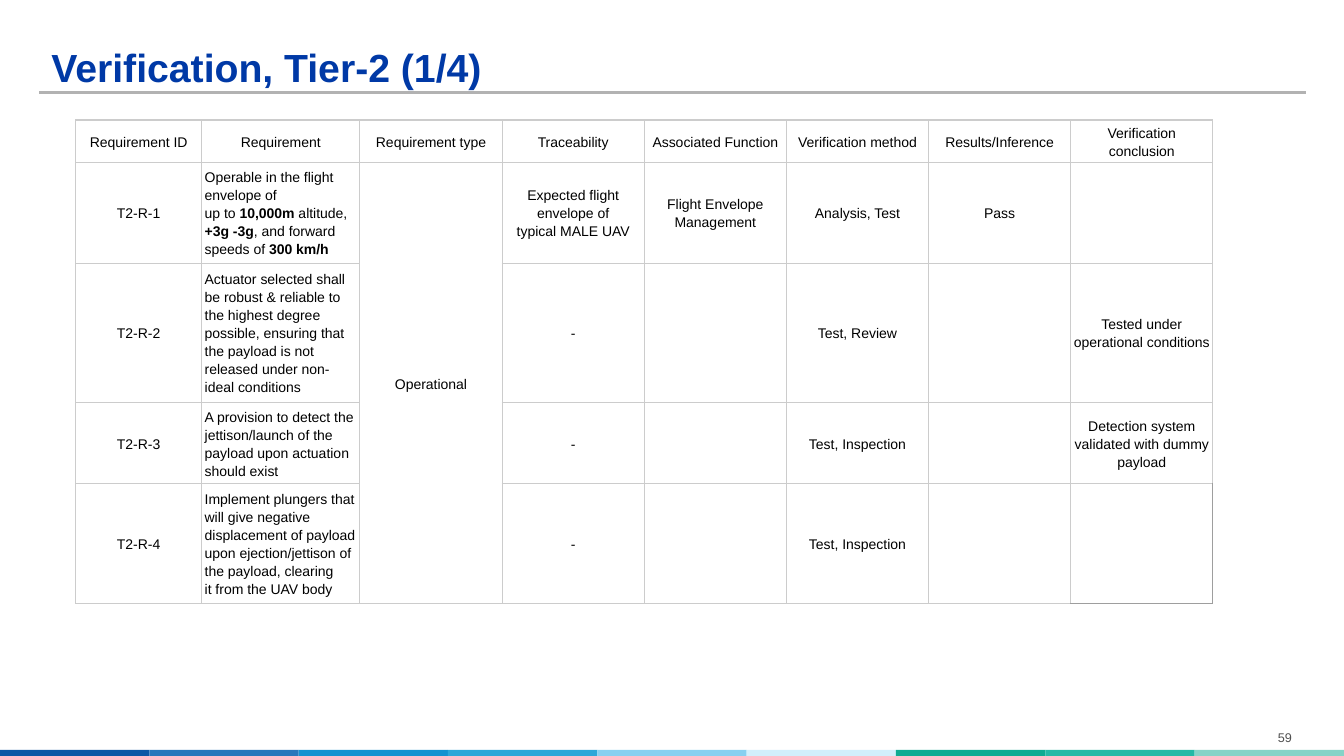
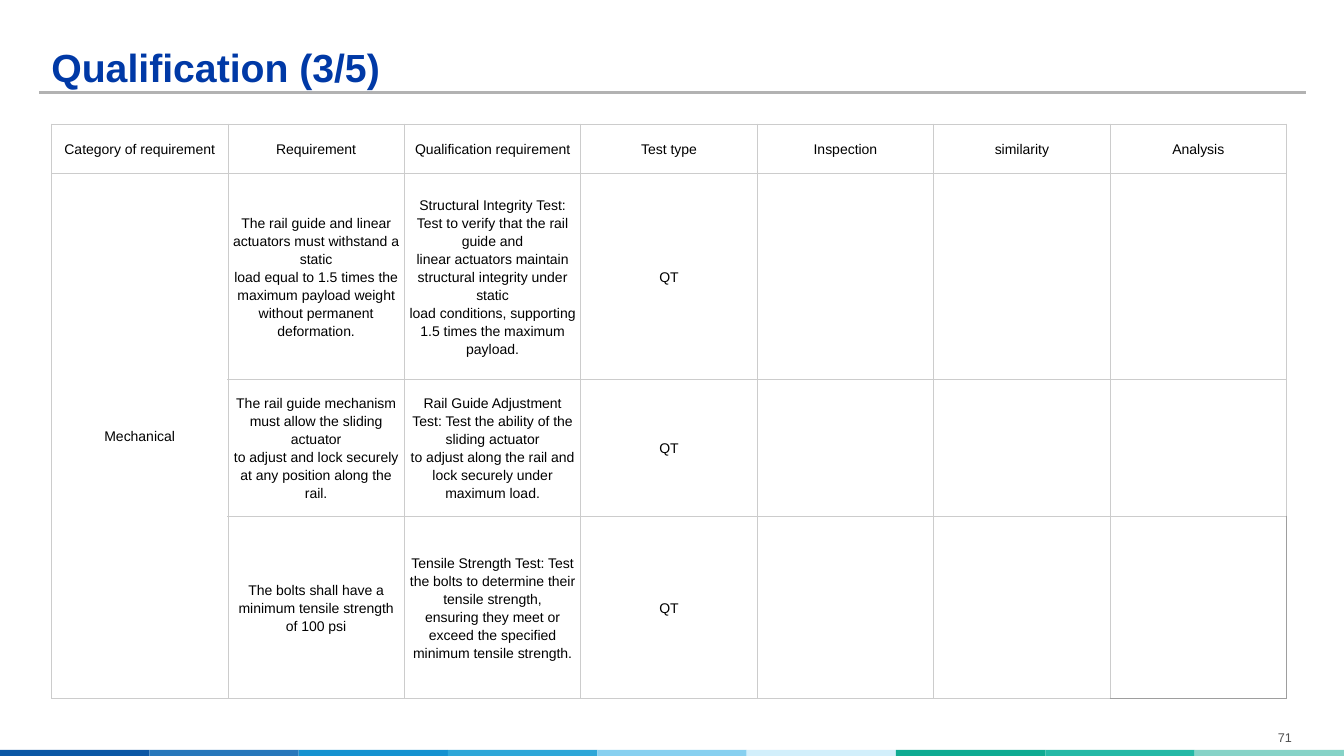
from dataclasses import dataclass

from lxml.etree import SubElement
from pptx import Presentation
from pptx.dml.color import RGBColor
from pptx.enum.shapes import MSO_CONNECTOR, MSO_SHAPE
from pptx.enum.text import MSO_ANCHOR, MSO_AUTO_SIZE, PP_ALIGN
from pptx.oxml.ns import qn
from pptx.util import Inches, Pt


@dataclass(frozen=True)
class Theme:
    font: str = "Arial"
    title_color: str = "0039A6"
    title_size: float = 28
    text_color: str = "000000"
    text_size: float = 10
    number_color: str = "4F4F4F"
    number_size: float = 9
    rule_color: str = "B2B2B2"
    rule_width: float = 2.25
    grid_color: str = "CCCCCC"
    corner_color: str = "9E9E9E"
    corner_width: float = 0.75
    band_colors: tuple = ("0B57A5", "2777BB", "1592D0", "2EA7D8", "87D0F0",
                          "D2EFFB", "0EAB92", "24B9A6", "86D3C7")


THEME = Theme()
SLIDE_WIDTH, SLIDE_HEIGHT = 13.33, 7.5
BAND_HEIGHT = 0.06

VERIFICATION_ROWS = [
    ["Requirement ID", "Requirement", "Requirement type", "Traceability",
     "Associated Function", "Verification method", "Results/Inference",
     "Verification conclusion"],
    ["T2-R-1",
     "Operable in the flight envelope of\n"
     "up to **10,000m** altitude, **+3g -3g**, and forward speeds of **300 km/h**",
     "Operational", "Expected flight envelope of\ntypical MALE UAV",
     "Flight Envelope Management", "Analysis, Test", "Pass", ""],
    ["T2-R-2",
     "Actuator selected shall be robust & reliable to the highest degree possible, "
     "ensuring that the payload is not released under non-ideal conditions",
     "", "-", "", "Test, Review", "", "Tested under\noperational conditions"],
    ["T2-R-3",
     "A provision to detect the jettison/launch of the payload upon actuation should exist",
     "", "-", "", "Test, Inspection", "",
     "Detection system\nvalidated with dummy\npayload"],
    ["T2-R-4",
     "Implement plungers that will give negative displacement of payload upon "
     "ejection/jettison of the payload, clearing\nit from the UAV body",
     "", "-", "", "Test, Inspection", "", ""],
]

QUALIFICATION_ROWS = [
    ["Category of requirement", "Requirement", "Qualification requirement",
     "Test type", "Inspection", "similarity", "Analysis"],
    ["Mechanical",
     "The rail guide and linear actuators must withstand a static\n"
     "load equal to 1.5 times the maximum payload weight\n"
     "without permanent deformation.",
     "Structural Integrity Test: Test to verify that the rail guide and\n"
     "linear actuators maintain structural integrity under static\n"
     "load conditions, supporting 1.5 times the maximum payload.",
     "QT", "", "", ""],
    ["",
     "The rail guide mechanism must allow the sliding actuator\n"
     "to adjust and lock securely at any position along the rail.",
     "Rail Guide Adjustment Test: Test the ability of the sliding actuator\n"
     "to adjust along the rail and lock securely under maximum load.",
     "QT", "", "", ""],
    ["", "The bolts shall have a minimum tensile strength of 100 psi",
     "Tensile Strength Test: Test the bolts to determine their tensile strength,\n"
     "ensuring they meet or exceed the specified minimum tensile strength.",
     "QT", "", "", ""],
]


def style_font(font, size, color, bold=False):
    font.name = THEME.font
    font.size = Pt(size)
    font.bold = bold
    font.color.rgb = RGBColor.from_string(color)


# Shared frame: title place, rule and colour band, kept on the layout
def build_frame(layout, slide):
    title = layout.placeholders[0]
    title.left, title.top = Inches(0.51), Inches(0.2)
    title.width, title.height = Inches(12.33), Inches(0.7)

    frame_parts = []
    step = SLIDE_WIDTH / len(THEME.band_colors)
    for index, color in enumerate(THEME.band_colors):
        band = slide.shapes.add_shape(
            MSO_SHAPE.RECTANGLE, Inches(index * step),
            Inches(SLIDE_HEIGHT - BAND_HEIGHT), Inches(step), Inches(BAND_HEIGHT))
        band.shadow.inherit = False
        band.fill.solid()
        band.fill.fore_color.rgb = RGBColor.from_string(color)
        band.line.fill.background()
        frame_parts.append(band)

    rule = slide.shapes.add_connector(
        MSO_CONNECTOR.STRAIGHT, Inches(0.39), Inches(0.92), Inches(12.95), Inches(0.92))
    rule.line.color.rgb = RGBColor.from_string(THEME.rule_color)
    rule.line.width = Pt(THEME.rule_width)
    SubElement(rule.element.spPr, qn("a:effectLst"))
    frame_parts.append(rule)

    for part in frame_parts:
        layout.element.cSld.spTree.append(part.element)


def set_title(slide, text):
    title_frame = slide.shapes.title.text_frame
    title_frame.text = text
    title_frame.auto_size = MSO_AUTO_SIZE.NONE
    title_frame.vertical_anchor = MSO_ANCHOR.BOTTOM
    title_frame.margin_left = title_frame.margin_right = 0
    title_frame.margin_top = title_frame.margin_bottom = 0
    heading = title_frame.paragraphs[0]
    heading.alignment = PP_ALIGN.LEFT
    heading.line_spacing = 0.9
    style_font(heading.runs[0].font, THEME.title_size, THEME.title_color, bold=True)


def add_page_number(slide, number):
    number_box = slide.shapes.add_textbox(
        Inches(12.33), Inches(7.19), Inches(0.83), Inches(0.26))
    number_box.text_frame.word_wrap = True
    number_line = number_box.text_frame.paragraphs[0]
    number_line.text = str(number)
    number_line.alignment = PP_ALIGN.CENTER
    style_font(number_line.runs[0].font, THEME.number_size, THEME.number_color)


# Table cells: borders and text, with ** around bold words
def set_borders(cell, grid_width, is_corner):
    properties = cell._tc.get_or_add_tcPr()
    for side in "LRTB":
        color, width = THEME.grid_color, grid_width
        if is_corner and side in "RB":
            color, width = THEME.corner_color, THEME.corner_width
        border = SubElement(properties, qn(f"a:ln{side}"), w=str(Pt(width)))
        fill = SubElement(border, qn("a:solidFill"))
        SubElement(fill, qn("a:srgbClr"), val=color)


def fill_cell(cell, text, alignment):
    cell.vertical_anchor = MSO_ANCHOR.MIDDLE
    cell.margin_left = cell.margin_right = Inches(0.03)
    cell.margin_top = cell.margin_bottom = Inches(0.02)
    cell.text_frame.text = text.replace("**", "")
    for paragraph, line in zip(cell.text_frame.paragraphs, text.split("\n")):
        paragraph.alignment = alignment
        paragraph.line_spacing = 1.15
        paragraph.text = ""
        style_font(paragraph.font, THEME.text_size, THEME.text_color)
        for index, piece in enumerate(line.split("**")):
            if piece:
                run = paragraph.add_run()
                run.text = piece
                style_font(run.font, THEME.text_size, THEME.text_color, index % 2 == 1)


def add_grid(slide, rows, left, top, widths, heights, grid_width, merged_column,
             left_column=None):
    grid = slide.shapes.add_table(
        len(rows), len(widths), Inches(left), Inches(top),
        Inches(sum(widths)), Inches(sum(heights))).table
    grid.first_row = grid.horz_banding = False
    for column, width in zip(grid.columns, widths):
        column.width = Inches(width)
    for row, height in zip(grid.rows, heights):
        row.height = Inches(height)

    last = (len(rows) - 1, len(widths) - 1)
    for r, texts in enumerate(rows):
        for c, text in enumerate(texts):
            cell = grid.cell(r, c)
            set_borders(cell, grid_width, (r, c) == last)
            cell.fill.background()
            is_left = r > 0 and c == left_column
            fill_cell(cell, text, PP_ALIGN.LEFT if is_left else PP_ALIGN.CENTER)
    grid.cell(1, merged_column).merge(grid.cell(last[0], merged_column))


def main():
    deck = Presentation()
    deck.slide_width, deck.slide_height = Inches(SLIDE_WIDTH), Inches(SLIDE_HEIGHT)
    layout = deck.slide_layouts[5]

    # Verification
    verification = deck.slides.add_slide(layout)
    build_frame(layout, verification)
    set_title(verification, "Verification, Tier-2 (1/4)")
    add_page_number(verification, 59)
    add_grid(verification, VERIFICATION_ROWS, 0.75, 1.19,
             widths=[1.25, 1.57] + [1.41] * 6,
             heights=[0.42, 0.93, 1.29, 0.75, 1.11],
             grid_width=0.94, merged_column=2, left_column=1)

    # Qualification
    qualification = deck.slides.add_slide(layout)
    set_title(qualification, "Qualification (3/5)")
    add_page_number(qualification, 71)
    add_grid(qualification, QUALIFICATION_ROWS, 0.51, 1.23,
             widths=[1.75] * 7, heights=[0.49, 2.04, 1.36, 1.81],
             grid_width=0.6, merged_column=0)

    deck.save("out.pptx")


if __name__ == "__main__":
    main()
